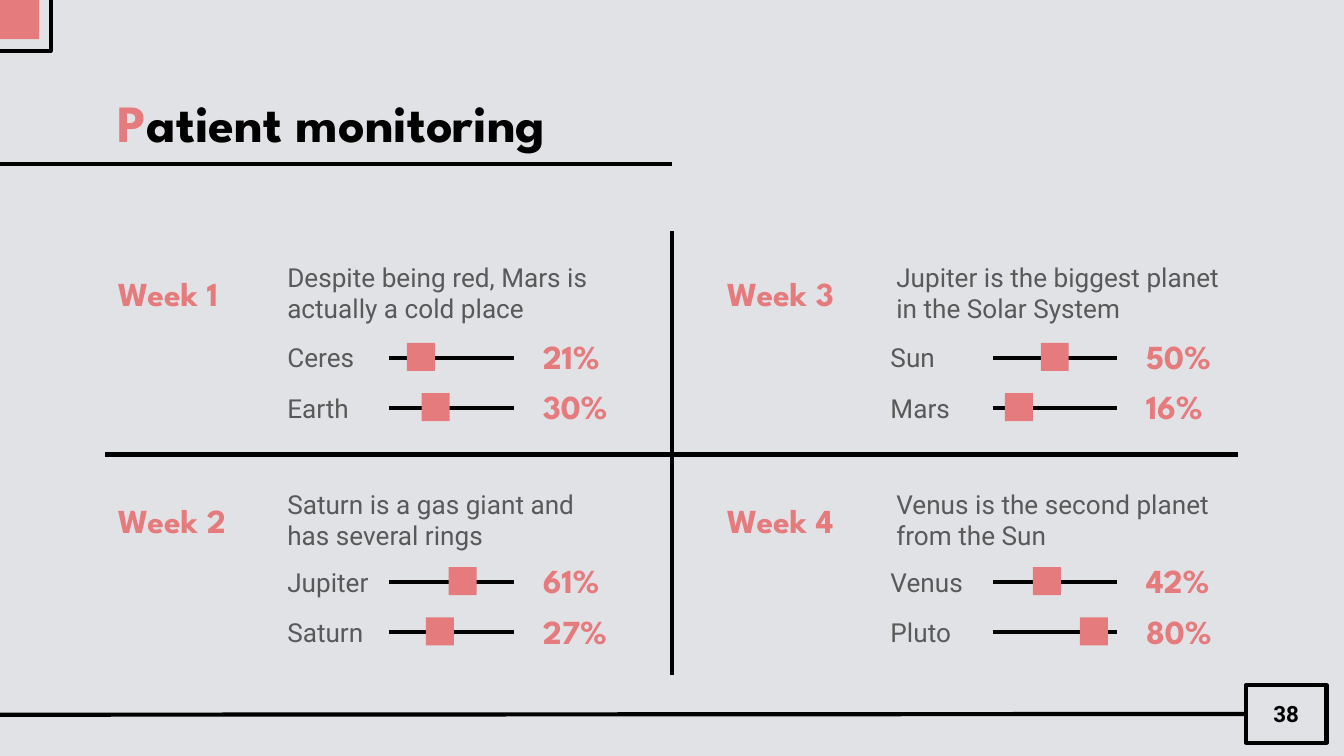
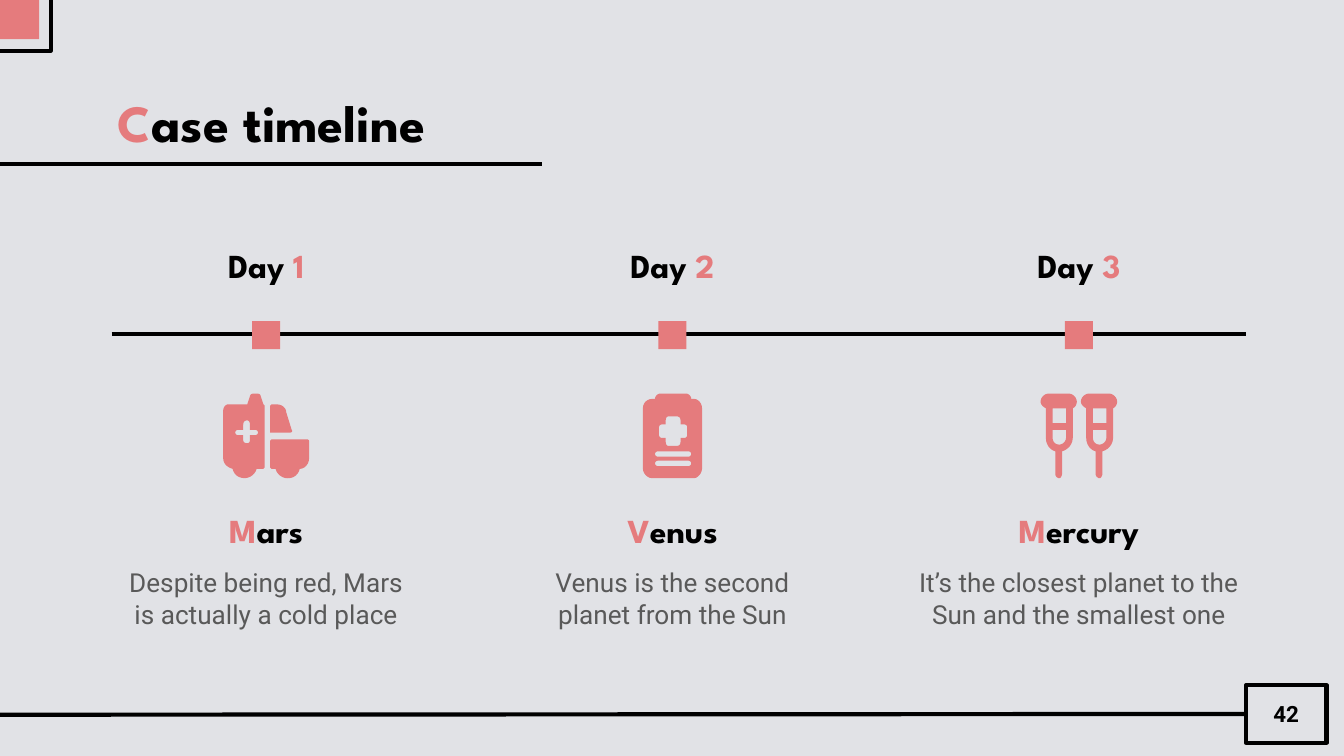
from lxml import etree
from pptx import Presentation
from pptx.dml.color import RGBColor
from pptx.enum import shapes, text
from pptx.oxml import ns
from pptx.util import Cm, Pt

# Style
PAPER = RGBColor(0xE1, 0xE2, 0xE6)
CORAL = RGBColor(0xE5, 0x7B, 0x7D)
BLACK = RGBColor(0, 0, 0)
GREY = RGBColor(0x59, 0x59, 0x59)
HEAD, BODY = "League Spartan", "Roboto"
LEFT, CENTER = text.PP_ALIGN.LEFT, text.PP_ALIGN.CENTER
KNOB = 0.53
UNIT = 0.0254  # one icon unit in cm

# Icons: one outline string per part
CRUTCH = ("M 19 11 L 19 22 9 22 9 11 Z "
          "M 19 27 L 19 33 C 19 36 16 38 14 38 C 11 38 9 36 9 33 L 9 27 Z "
          "M 6 0 C 3 0 0 3 0 6 C 0 8 2 10 4 11 L 4 33 C 4 38 7 42 11 43 L 11 60 "
          "C 11 61 12 63 14 63 C 15 63 16 61 16 60 L 16 43 C 20 42 24 38 24 33 "
          "L 24 11 C 26 10 27 8 27 6 C 27 3 24 0 21 0 Z")
AMBULANCE_CAB = ("M 36 8 L 35 9 35 29 50 29 C 51 29 52 28 51 27 L 47 14 "
                 "C 47 11 44 8 40 8 Z")
AMBULANCE_BODY = (
    "M 18 20 C 19 20 20 21 20 23 L 20 27 24 27 C 25 27 26 28 26 29 "
    "C 26 30 25 31 24 31 L 20 31 20 35 C 20 36 19 37 18 37 C 16 37 15 36 15 35 "
    "L 15 31 11 31 C 10 31 9 30 9 29 C 9 28 10 27 11 27 L 15 27 15 23 "
    "C 15 21 16 20 18 20 Z "
    "M 23 0 C 21 0 20 1 20 2 L 18 8 4 8 C 2 8 0 10 0 13 L 0 48 "
    "C 0 52 3 55 7 56 C 8 60 11 63 16 63 C 20 63 24 60 25 56 L 30 56 31 55 "
    "31 9 30 8 28 2 C 28 1 27 0 25 0 Z")
AMBULANCE_HOOD = (
    "M 36 34 L 35 35 35 55 36 56 39 56 C 40 60 44 63 48 63 C 53 63 56 60 57 56 "
    "C 61 56 64 52 64 48 L 64 38 C 64 37 64 36 64 35 C 63 34 63 34 62 34 Z")
CLIPBOARD = (
    "M 25 17 C 27 17 28 18 28 20 L 28 23 31 23 C 32 23 33 24 33 25 L 33 31 "
    "C 33 32 32 33 31 33 L 28 33 28 36 C 28 38 27 39 25 39 L 19 39 "
    "C 18 39 17 38 17 36 L 17 33 14 33 C 13 33 12 32 12 31 L 12 25 "
    "C 12 24 13 23 14 23 L 17 23 17 20 C 17 18 18 17 19 17 Z "
    "M 34 43 C 35 43 36 44 36 45 C 36 46 35 47 34 47 L 11 47 "
    "C 10 47 9 46 9 45 C 9 44 10 43 11 43 Z "
    "M 34 50 C 35 50 36 51 36 52 C 36 53 35 54 34 54 L 11 54 "
    "C 10 54 9 53 9 52 C 9 51 10 50 11 50 Z "
    "M 13 0 C 11 0 9 2 9 4 L 7 4 C 3 4 0 7 0 11 L 0 56 C 0 59 3 63 7 63 "
    "L 38 63 C 41 63 44 59 44 56 L 44 11 C 44 7 41 4 38 4 L 36 4 "
    "C 36 2 34 0 32 0 Z")


def contours(outline, steps=6):
    """Turn an outline string into lists of points, with curves sampled."""
    result = []
    for part in outline.split("Z"):
        points, command, pending = [], "M", []
        for token in part.split():
            if token.isalpha():
                command = token
                continue
            pending.append(float(token))
            if len(pending) < (6 if command == "C" else 2):
                continue
            if command == "C":
                ends = [points[-1], *zip(pending[::2], pending[1::2])]
                for t in (k / steps for k in range(1, steps + 1)):
                    weights = ((1 - t) ** 3, 3 * t * (1 - t) ** 2,
                               3 * t * t * (1 - t), t ** 3)
                    points.append(tuple(sum(w * e[axis] for w, e in zip(weights, ends))
                                        for axis in (0, 1)))
            else:
                points.append(tuple(pending))
            pending = []
        if points:
            result.append(points)
    return result


class Deck:
    def __init__(self):
        self.prs = Presentation()
        self.prs.slide_width, self.prs.slide_height = Cm(25.4), Cm(14.29)
        fill = self.prs.slide_master.background.fill
        fill.solid()
        fill.fore_color.rgb = PAPER
        self.slide = None

    def set_text(self, sp, runs, size, font, bold=False, align=LEFT):
        """Fill a shape with one paragraph of (text, colour) runs."""
        tf = sp.text_frame
        tf.word_wrap = True
        tf.auto_size = text.MSO_AUTO_SIZE.NONE
        tf.vertical_anchor = text.MSO_ANCHOR.MIDDLE
        tf.margin_left = tf.margin_right = tf.margin_top = tf.margin_bottom = Cm(0.25)
        p = tf.paragraphs[0]
        p.alignment = align
        for words, color in runs:
            r = p.add_run()
            r.text = words
            r.font.size, r.font.name, r.font.bold = Pt(size), font, bold
            r.font.color.rgb = color

    def label(self, x, y, w, h, runs, size=14, font=BODY, bold=False, align=LEFT):
        sp = self.slide.shapes.add_textbox(Cm(x), Cm(y), Cm(w), Cm(h))
        self.set_text(sp, runs, size, font, bold, align)

    def heading(self, x, y, w, h, runs, align=LEFT):
        self.label(x, y, w, h, runs, 18, HEAD, True, align)

    def body(self, x, y, w, h, words, align=LEFT):
        self.label(x, y, w, h, [(words, GREY)], align=align)

    def line(self, x1, y1, x2, y2):
        cxn = self.slide.shapes.add_connector(
            shapes.MSO_CONNECTOR.STRAIGHT, Cm(x1), Cm(y1), Cm(x2), Cm(y2))
        cxn.line.color.rgb = BLACK
        cxn.line.width = Pt(2.25)
        etree.SubElement(cxn._element.spPr, ns.qn("a:effectLst"))
        return cxn

    def paint(self, sp):
        sp.shadow.inherit = False
        sp.fill.solid()
        sp.fill.fore_color.rgb = CORAL
        sp.line.fill.background()

    def rect(self, x, y, w, h):
        return self.slide.shapes.add_shape(
            shapes.MSO_SHAPE.RECTANGLE, Cm(x), Cm(y), Cm(w), Cm(h))

    def square(self, x, y, size=KNOB):
        self.paint(self.rect(x, y, size, size))

    def frame(self, x, y, w, h):
        sp = self.rect(x, y, w, h)
        sp.shadow.inherit = False
        sp.fill.background()
        sp.line.color.rgb = BLACK
        sp.line.width = Pt(2.25)
        return sp

    def icon(self, center, y, width, parts):
        """Draw outlines centred on a column; each part is (outline, shift)."""
        left = center - width * UNIT / 2
        for outline, shift in parts:
            first, *others = [[(px * 100, py * 100) for px, py in points]
                              for points in contours(outline)]
            builder = self.slide.shapes.build_freeform(*first[0], scale=Cm(UNIT) / 100)
            builder.add_line_segments(first[1:], close=True)
            for points in others:
                builder.move_to(*points[0])
                builder.add_line_segments(points[1:], close=True)
            self.paint(builder.convert_to_shape(Cm(left + shift * UNIT), Cm(y)))

    def new_slide(self, title, number, underline_end):
        self.slide = self.prs.slides.add_slide(self.prs.slide_layouts[5])
        # Corner and footer
        footer = self.line(-0.2, 13.51, 23.55, 13.49)
        self.frame(-0.56, -0.56, 1.52, 1.52)
        self.square(0, 0, 0.74)
        page = self.frame(23.55, 12.95, 1.52, 1.09)
        self.set_text(page, [(number, BLACK)], 12, BODY, True, CENTER)
        footer.end_connect(page, 1)
        # Title
        sp = self.slide.shapes.title
        sp.left, sp.top, sp.width, sp.height = Cm(1.98), Cm(1.5), Cm(21.44), Cm(1.6)
        self.set_text(sp, initial(title), 28, HEAD, True)
        self.line(-0.25, 3.1, underline_end, 3.1)

    def slider(self, x, y, name, rate, knob):
        """A named track centred on y, with its knob and percentage."""
        self.body(x, y - 0.36, 2.08, 0.71, name)
        self.line(x + 2.18, y, x + 4.53, y)
        self.square(x + 2.18 + knob, y - 0.28)
        self.heading(x + 4.83, y - 0.46, 1.93, 0.86, [(rate, CORAL)])


def initial(words):
    return [(words[0], CORAL), (words[1:], BLACK)]


def patient_monitoring(deck):
    deck.new_slide("Patient monitoring", "38", 12.7)
    deck.line(1.98, 8.59, 23.39, 8.59)
    deck.line(12.7, 4.37, 12.7, 12.75)
    # Sliders: name, percentage, knob offset on the track
    weeks = [
        ("Despite being red, Mars is actually a cold place",
         [("Ceres", "21%", 0.33), ("Earth", "30%", 0.61)]),
        ("Saturn is a gas giant and has several rings",
         [("Jupiter", "61%", 1.12), ("Saturn", "27%", 0.69)]),
        ("Jupiter is the biggest planet in the Solar System",
         [("Sun", "50%", 0.91), ("Mars", "16%", 0.23)]),
        ("Venus is the second planet from the Sun",
         [("Venus", "42%", 0.76), ("Pluto", "80%", 1.65)]),
    ]
    for i, (words, sliders) in enumerate(weeks):
        col, row = divmod(i, 2)
        x, y = 1.98 + 11.51 * col, 4.8 + 4.29 * row
        deck.body(x + 3.2, y, 6.76, 1.47, words)
        deck.heading(x, y, 3.1, 1.47, [(f"Week {i + 1}", CORAL)])
        for j, values in enumerate(sliders):
            deck.slider(5.18 + 11.4 * col, 6.76 + 4.24 * row + 0.95 * j, *values)


def case_timeline(deck):
    deck.new_slide("Case timeline", "42", 10.24)
    deck.line(2.11, 6.32, 23.55, 6.32)
    ambulance = [(AMBULANCE_CAB, 0), (AMBULANCE_BODY, 0), (AMBULANCE_HOOD, 0)]
    # Days: name, text, text width, icon width, icon parts
    days = [
        ("Mars", "Despite being red, Mars is actually a cold place", 6.1, 64, ambulance),
        ("Venus", "Venus is the second planet from the Sun", 6.1, 44, [(CLIPBOARD, 0)]),
        ("Mercury", "It’s the closest planet to the Sun and the smallest one", 6.58, 57,
         [(CRUTCH, 0), (CRUTCH, 30)]),
    ]
    for i, (name, words, width, icon_width, parts) in enumerate(days):
        center = 5.03 + 7.68 * i
        deck.heading(center - 3.05, 4.57, 6.1, 0.89,
                     [("Day", BLACK), (f" {i + 1}", CORAL)], CENTER)
        deck.square(center - KNOB / 2, 6.07)
        deck.icon(center, 7.44, icon_width, parts)
        deck.heading(center - 3.05, 9.58, 6.1, 0.89, initial(name), CENTER)
        deck.body(center - width / 2, 10.57, width, 1.47, words, CENTER)


def main():
    deck = Deck()
    patient_monitoring(deck)
    case_timeline(deck)
    deck.prs.save("out.pptx")


if __name__ == "__main__":
    main()
